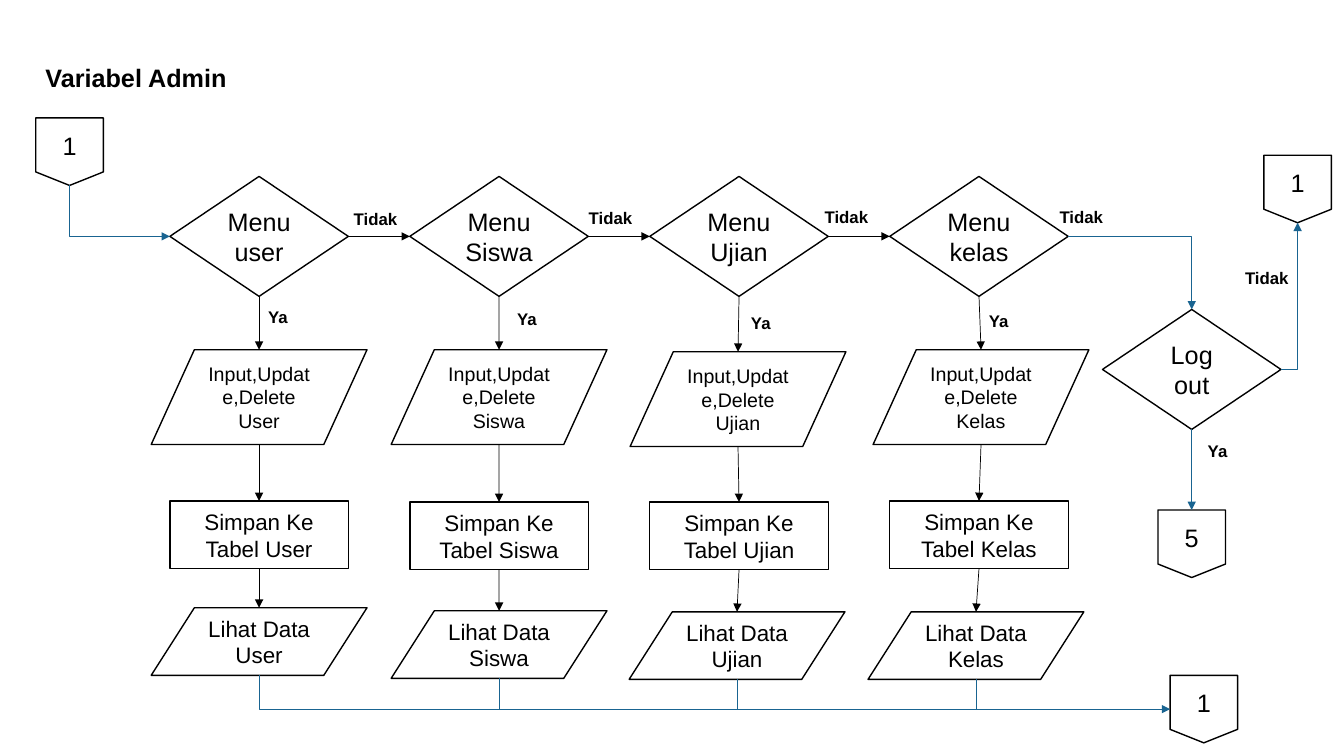
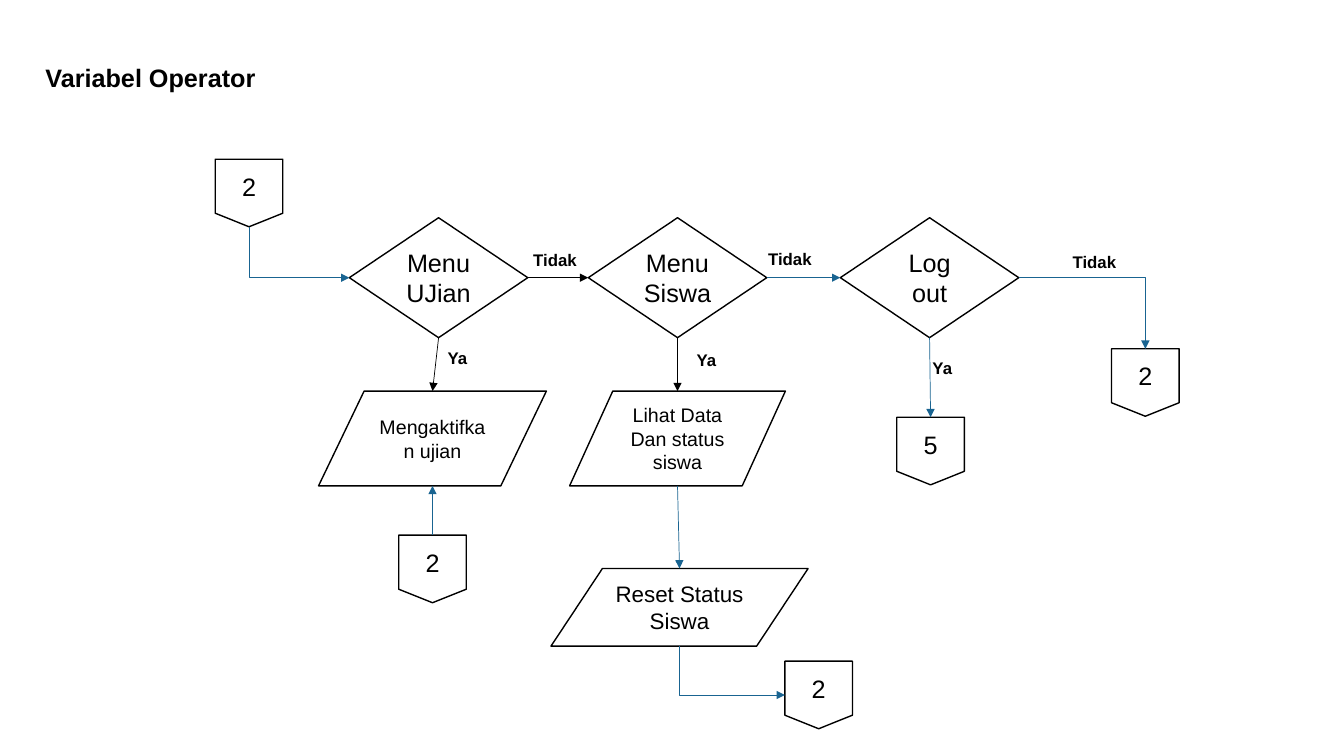
from lxml import etree
from pptx import Presentation
from pptx.dml.color import RGBColor
from pptx.enum.shapes import MSO_CONNECTOR, MSO_SHAPE
from pptx.enum.text import MSO_ANCHOR, MSO_AUTO_SIZE, PP_ALIGN
from pptx.oxml.ns import qn
from pptx.util import Inches, Pt

FONT = "Arial"
BLACK, BLUE = "000000", "196491"
TOP, LEFT, BOTTOM, RIGHT = range(4)
SLANTED_SITES = {TOP: 1, BOTTOM: 4}  # middle sites of a parallelogram

# Node kinds: shape, width, height, text size
SLANTED = MSO_SHAPE.FLOWCHART_DATA
KINDS = {
    "decision": (MSO_SHAPE.FLOWCHART_DECISION, 1.77, 1.19, 18),
    "input": (SLANTED, 2.14, 0.94, 14),
    "wide input": (SLANTED, 2.26, 0.94, 14),
    "process": (MSO_SHAPE.FLOWCHART_PROCESS, 1.77, 0.67, 16),
    "view": (SLANTED, 2.14, 0.67, 16),
    "reset": (SLANTED, 2.55, 0.77, 16),
    "page": (MSO_SHAPE.FLOWCHART_OFFPAGE_CONNECTOR, 0.67, 0.67, 18),
}

# Admin columns: menu, table, input centre and top, save top, view centre and top
FIRST_X, PITCH, RAIL_Y = 2.57, 2.38, 7.03
COLUMNS = [
    ("user", "User", 2.57, 3.47, 4.97, 2.57, 6.03),
    ("Siswa", "Siswa", 4.95, 3.47, 4.98, 4.95, 6.06),
    ("Ujian", "Ujian", 7.32, 3.49, 4.98, 7.31, 6.07),
    ("kelas", "Kelas", 9.73, 3.47, 4.97, 9.68, 6.07),
]

# Nodes: name -> kind, centre x, top, text
# Edges: start, side, end, side, colour; sides at right angles make a bend
ADMIN = {
    "title": "Variabel Admin",
    "nodes": {
        "start": ("page", 0.69, 1.17, "1"),
        "logout": ("decision", 11.82, 3.07, "Log out"),
        "back": ("page", 12.87, 1.54, "1"),
        "exit": ("page", 11.82, 5.06, "5"),
        "done": ("page", 11.94, 6.7, "1"),
    },
    "edges": [
        ("start", BOTTOM, "menu0", LEFT, BLUE),
        ("menu3", RIGHT, "logout", TOP, BLUE),
        ("logout", RIGHT, "back", BOTTOM, BLUE),
        ("logout", BOTTOM, "exit", TOP, BLUE),
        ("view0", BOTTOM, "done", LEFT, BLUE),
    ],
    "labels": {
        "Ya": [(2.56, 2.99), (5.03, 3.01), (7.35, 3.05), (9.71, 3.03), (11.88, 4.32)],
        "Tidak": [(3.41, 2.02), (5.74, 2.01), (8.08, 2), (10.41, 2), (12.25, 2.61)],
    },
}
for i, (menu, table, input_x, input_y, save_y, view_x, view_y) in enumerate(COLUMNS):
    x = FIRST_X + PITCH * i
    ADMIN["nodes"].update({
        f"menu{i}": ("decision", x, 1.75, f"Menu {menu}"),
        f"input{i}": ("input", input_x, input_y, f"Input,Update,Delete {table}"),
        f"save{i}": ("process", x, save_y, f"Simpan Ke Tabel {table}"),
        f"view{i}": ("view", view_x, view_y, f"Lihat Data {table}"),
    })
    steps = [f"{step}{i}" for step in ("menu", "input", "save", "view")]
    ADMIN["edges"] += [(a, BOTTOM, b, TOP, BLACK) for a, b in zip(steps, steps[1:])]
    if i:
        ADMIN["edges"].append((f"menu{i - 1}", RIGHT, f"menu{i}", LEFT, BLACK))

OPERATOR = {
    "title": "Variabel Operator",
    "nodes": {
        "start": ("page", 2.47, 1.58, "2"),
        "exam": ("decision", 4.35, 2.16, "Menu UJian"),
        "student": ("decision", 6.72, 2.16, "Menu Siswa"),
        "logout": ("decision", 9.22, 2.16, "Log out"),
        "activate": ("wide input", 4.29, 3.88, "Mengaktifkan ujian"),
        "status": ("input", 6.72, 3.88, "Lihat Data Dan status siswa"),
        "reset": ("reset", 6.74, 5.64, "Reset Status Siswa"),
        "return": ("page", 4.29, 5.31, "2"),
        "done": ("page", 8.12, 6.56, "2"),
        "exit": ("page", 9.23, 4.14, "5"),
        "back": ("page", 11.36, 3.46, "2"),
    },
    "edges": [
        ("start", BOTTOM, "exam", LEFT, BLUE),
        ("exam", RIGHT, "student", LEFT, BLACK),
        ("student", RIGHT, "logout", LEFT, BLUE),
        ("exam", BOTTOM, "activate", TOP, BLACK),
        ("student", BOTTOM, "status", TOP, BLACK),
        ("status", BOTTOM, "reset", TOP, BLUE),
        ("return", TOP, "activate", BOTTOM, BLUE),
        ("reset", BOTTOM, "done", LEFT, BLUE),
        ("logout", BOTTOM, "exit", TOP, BLUE),
        ("logout", RIGHT, "back", TOP, BLUE),
    ],
    "labels": {
        "Ya": [(4.34, 3.4), (6.81, 3.42), (9.15, 3.5)],
        "Tidak": [(5.19, 2.43), (7.52, 2.42), (10.54, 2.45)],
    },
}


def rgb(value):
    return RGBColor.from_string(value)


def write(shape, text, size, bold=False, align=PP_ALIGN.LEFT,
          anchor=MSO_ANCHOR.MIDDLE, wrap=True):
    tf = shape.text_frame
    tf.word_wrap, tf.vertical_anchor = wrap, anchor
    tf.auto_size = MSO_AUTO_SIZE.NONE
    p = tf.paragraphs[0]
    p.alignment = align
    r = p.add_run()
    r.text = text
    r.font.name, r.font.size, r.font.bold = FONT, Pt(size), bold
    r.font.color.rgb = rgb(BLACK)


def add_node(s, kind, center, top, text):
    preset, width, height, size = KINDS[kind]
    sp = s.shapes.add_shape(preset, Inches(center - width / 2), Inches(top),
                            Inches(width), Inches(height))
    sp.shadow.inherit = False
    sp.fill.background()
    sp.line.color.rgb, sp.line.width = rgb(BLACK), Pt(1)
    write(sp, text, size, align=PP_ALIGN.CENTER)
    return sp


def join(c, sp, side, at_end=False):
    (c.end_connect if at_end else c.begin_connect)(sp, side)
    if sp.auto_shape_type == SLANTED:
        tag = qn("a:endCxn" if at_end else "a:stCxn")
        next(c._element.iter(tag)).set("idx", str(SLANTED_SITES[side]))


def style_line(c, color, arrow=True):
    c.line.color.rgb, c.line.width = rgb(color), Pt(0.5)
    if arrow:
        etree.SubElement(c.line._get_or_add_ln(), qn("a:tailEnd"), type="triangle")
    etree.SubElement(c._element.spPr, qn("a:effectLst"))


def bend(c, down_first):
    """Give the connector one corner; turn it when it leaves downwards."""
    sp_pr = c._element.spPr
    sp_pr.find(qn("a:prstGeom")).set("prst", "bentConnector2")
    if down_first:
        left, top, width, height = c.left, c.top, c.width, c.height
        c.left, c.top = left + (width - height) // 2, top + (height - width) // 2
        c.width, c.height = height, width
        xfrm = sp_pr.find(qn("a:xfrm"))
        xfrm.set("rot", "16200000")
        xfrm.set("flipH", "1")


def add_edge(s, start, side, end, end_side, color):
    bent = side % 2 != end_side % 2
    kind = MSO_CONNECTOR.ELBOW if bent else MSO_CONNECTOR.STRAIGHT
    c = s.shapes.add_connector(kind, 0, 0, 0, 0)
    join(c, start, side)
    join(c, end, end_side, at_end=True)
    if bent:
        bend(c, side == BOTTOM)
    style_line(c, color)


def add_chart_slide(prs, chart):
    s = prs.slides.add_slide(prs.slide_layouts[5])
    # Title
    title = s.shapes.title
    title.left, title.top = Inches(0.35), Inches(0.37)
    title.width, title.height = Inches(12.66), Inches(0.79)
    write(title, chart["title"], 18, bold=True)
    # Nodes, edges and labels
    nodes = {name: add_node(s, *node) for name, node in chart["nodes"].items()}
    for start, side, end, end_side, color in chart["edges"]:
        add_edge(s, nodes[start], side, nodes[end], end_side, color)
    for text, places in chart["labels"].items():
        width = 0.45 if text == "Ya" else 0.65
        for x, y in places:
            box = s.shapes.add_textbox(Inches(x), Inches(y), Inches(width), Inches(0.3))
            write(box, text, 12, bold=True, anchor=MSO_ANCHOR.TOP, wrap=False)
    return s, nodes


def main():
    prs = Presentation()
    prs.slide_width, prs.slide_height = Inches(13.33), Inches(7.5)
    s, nodes = add_chart_slide(prs, ADMIN)
    # Drops from the other views to the shared return line
    for i in range(1, len(COLUMNS)):
        view = nodes[f"view{i}"]
        x = view.left + view.width // 2
        c = s.shapes.add_connector(MSO_CONNECTOR.STRAIGHT, x, view.top + view.height,
                                   x, Inches(RAIL_Y))
        join(c, view, BOTTOM)
        style_line(c, BLUE, arrow=False)
    add_chart_slide(prs, OPERATOR)
    prs.save("out.pptx")


if __name__ == "__main__":
    main()
